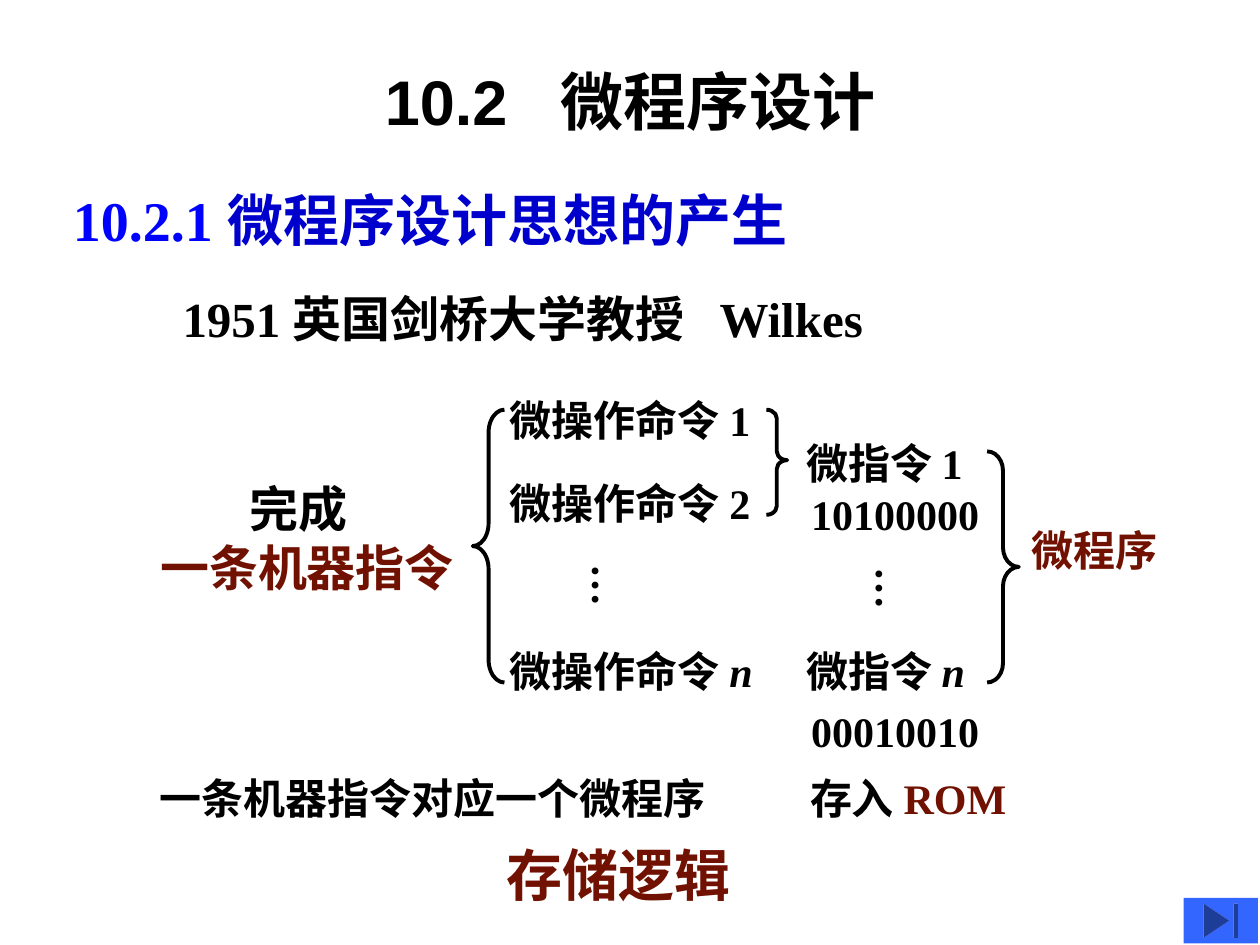
from dataclasses import dataclass

import lxml.etree
import pptx
import pptx.dml.color
import pptx.enum.shapes
import pptx.enum.text
import pptx.oxml.ns
import pptx.util
from pptx.util import Cm


@dataclass(frozen=True)
class Theme:
    black: str = "000000"
    red: str = "711101"
    blue: str = "0000FF"
    dark_blue: str = "0000CC"
    button: str = "3366FF"
    title: int = 36
    heading: int = 32
    lead: int = 28
    body: int = 24
    line: float = 2.25
    latin: str = "Times New Roman"
    title_latin: str = "Arial"
    asian: str = "Noto Sans CJK SC"


THEME = Theme()
SHAPES = pptx.enum.shapes.MSO_SHAPE


def rgb(color):
    return pptx.dml.color.RGBColor.from_string(color)


def style_paragraph(paragraph, size, color=THEME.black, name=THEME.latin):
    font = paragraph.font
    font.size = pptx.util.Pt(size)
    font.bold = True
    font.color.rgb = rgb(color)
    font.name = name
    asian = lxml.etree.SubElement(font._element, pptx.oxml.ns.qn("a:ea"))
    asian.set("typeface", THEME.asian)


def add_run(paragraph, text, color=None, italic=None, name=None, spacing=None):
    run = paragraph.add_run()
    run.text = text
    run.font.italic = italic
    if name:
        run.font.name = name
    if color:
        run.font.color.rgb = rgb(color)
    if spacing:
        run.font._element.set("spc", str(spacing * 100))


def add_box(slide, left, top, width, height, wrap=True):
    box = slide.shapes.add_textbox(Cm(left), Cm(top), Cm(width), Cm(height))
    frame = box.text_frame
    frame.word_wrap = wrap
    frame.auto_size = pptx.enum.text.MSO_AUTO_SIZE.SHAPE_TO_FIT_TEXT
    return frame


def add_label(slide, left, top, width, text, size=THEME.body, color=THEME.black,
              height=1.27):
    frame = add_box(slide, left, top, width, height)
    paragraph = frame.paragraphs[0]
    add_run(paragraph, text)
    style_paragraph(paragraph, size, color)
    return paragraph


def add_numbered(slide, left, top, width, text, number):
    paragraph = add_label(slide, left, top, width, text + " ")
    add_run(paragraph, number, italic=True if number == "n" else None)


def add_vertical_dots(slide, left, top):
    frame = add_box(slide, left, top, 1.52, 1.12, wrap=False)
    frame.margin_left = frame.margin_right = Cm(0.13)
    frame.margin_top = frame.margin_bottom = Cm(0.25)
    frame._txBody.bodyPr.set("vert", "eaVert")
    paragraph = frame.paragraphs[0]
    add_run(paragraph, "…")
    style_paragraph(paragraph, THEME.body)


def add_brace(slide, kind, left, top, width, height, curve, middle=0.5):
    brace = slide.shapes.add_shape(kind, Cm(left), Cm(top), Cm(width), Cm(height))
    brace.adjustments[0] = curve
    brace.adjustments[1] = middle
    brace.shadow.inherit = False
    brace.fill.background()
    brace.line.color.rgb = rgb(THEME.black)
    brace.line.width = pptx.util.Pt(THEME.line)


def add_end_button(slide):
    button = slide.shapes.add_shape(
        SHAPES.ACTION_BUTTON_END, Cm(23.86), Cm(18.1), Cm(1.5), Cm(0.92))
    button.shadow.inherit = False
    button.fill.solid()
    button.fill.fore_color.rgb = rgb(THEME.button)
    button.line.fill.background()


def add_headings(slide):
    frame = add_box(slide, 1.9, 0.43, 21.6, 3.18)
    frame.auto_size = pptx.enum.text.MSO_AUTO_SIZE.NONE
    frame.vertical_anchor = pptx.enum.text.MSO_ANCHOR.MIDDLE
    title = frame.paragraphs[0]
    title.alignment = pptx.enum.text.PP_ALIGN.CENTER
    add_run(title, "10.2")
    add_run(title, " ", spacing=20)
    add_run(title, "微程序设计")
    style_paragraph(title, THEME.title, name=THEME.title_latin)

    heading = add_label(slide, 1.22, 3.61, 16.97, "10.2.1 ", THEME.heading,
                        THEME.blue, 1.63)
    add_run(heading, "微程序设计思想的产生", THEME.dark_blue, name=THEME.asian)

    lead = add_label(slide, 3.43, 5.69, 15.5, "1951 英国剑桥大学教授",
                     THEME.lead, height=1.45)
    add_run(lead, " ", spacing=14)
    add_run(lead, "Wilkes")


def add_instruction(slide):
    frame = add_box(slide, 2.98, 9.53, 6.8, 2.64)
    first, second = frame.paragraphs[0], frame.add_paragraph()
    first._p.get_or_add_pPr().set("marL", str(Cm(1.8)))
    for paragraph, text, color in ((first, "完成", THEME.black),
                                   (second, "一条机器指令", THEME.red)):
        add_run(paragraph, text)
        style_paragraph(paragraph, THEME.lead, color)


def add_diagram(slide):
    add_instruction(slide)
    for top, number in ((7.82, "1"), (9.5, "2"), (12.88, "n")):
        add_numbered(slide, 10.03, top, 6.1, "微操作命令", number)
    for top, number, code_top, code in ((8.69, "1", 9.73, "10100000"),
                                        (12.88, "n", 14.1, "00010010")):
        add_numbered(slide, 16, top, 4.4, "微指令", number)
        add_label(slide, 16.1, code_top, 4.4, code)
    add_vertical_dots(slide, 11.4, 11.13)
    add_vertical_dots(slide, 17.12, 11.2)
    add_brace(slide, SHAPES.LEFT_BRACE, 9.53, 8.26, 0.64, 5.5, 0.72)
    add_brace(slide, SHAPES.RIGHT_BRACE, 15.45, 8.26, 0.42, 2.12, 0.42, 0.48)
    add_brace(slide, SHAPES.RIGHT_BRACE, 19.9, 9.1, 0.64, 4.66, 0.61)
    add_label(slide, 20.55, 10.44, 3.5, "微程序", color=THEME.red)


def add_conclusion(slide):
    add_label(slide, 2.97, 15.44, 12, "一条机器指令对应一个微程序")
    storage = add_label(slide, 16.08, 15.44, 5.08, "存入 ")
    add_run(storage, "ROM", THEME.red)
    add_label(slide, 9.96, 16.81, 8.94, "存储逻辑", THEME.heading, THEME.red, 1.63)


def main():
    presentation = pptx.Presentation()
    presentation.slide_width = Cm(25.4)
    presentation.slide_height = Cm(19.05)
    slide = presentation.slides.add_slide(presentation.slide_layouts[6])
    add_headings(slide)
    add_diagram(slide)
    add_conclusion(slide)
    add_end_button(slide)
    presentation.save("out.pptx")


if __name__ == "__main__":
    main()
